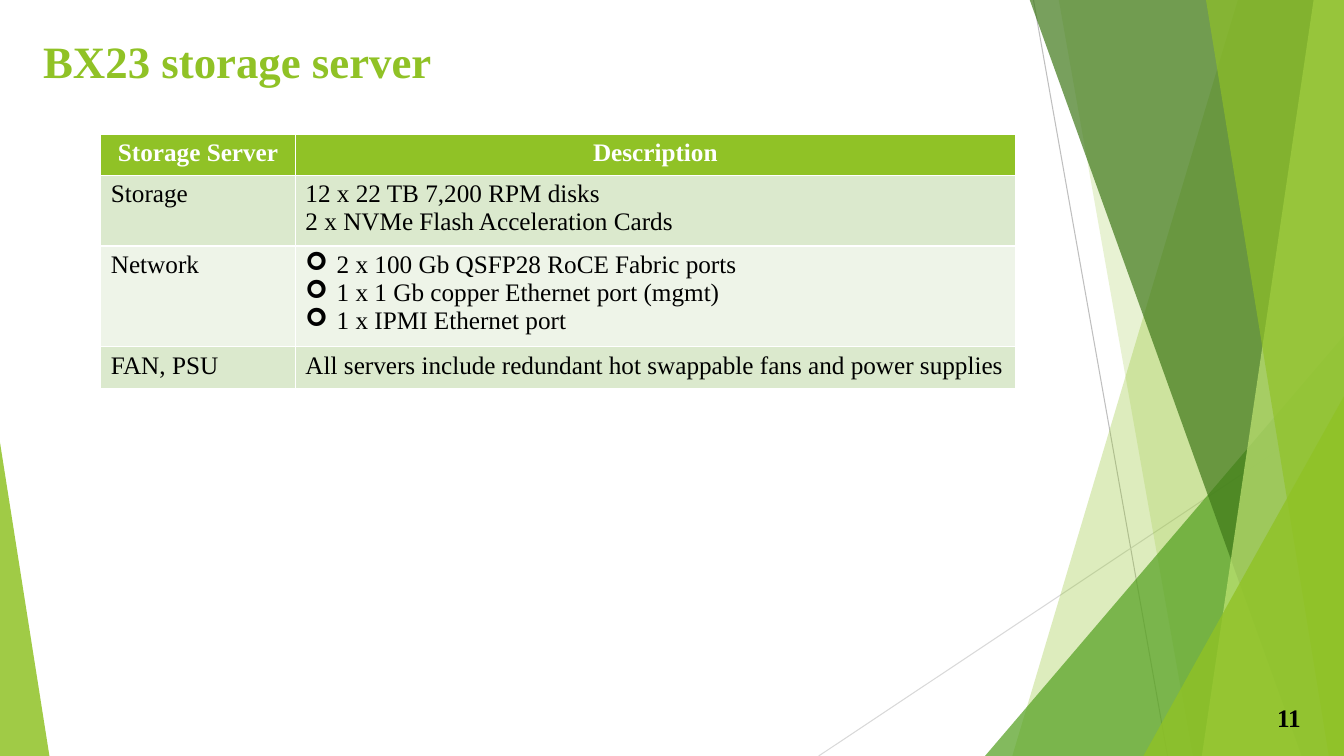
"""Build the storage server slide: a title, a table and angled green panels."""
from lxml.etree import SubElement as Sub
from pptx import Presentation
from pptx.dml.color import RGBColor
from pptx.enum.shapes import MSO_CONNECTOR as Link, MSO_SHAPE as Kind
from pptx.enum.text import MSO_ANCHOR as Anchor, PP_ALIGN as Align
from pptx.oxml.ns import qn
from pptx.util import Inches, Pt

GREEN = "90C226"
TOP, BOTTOM, RIGHT = -0.01, 7.5, 13.33


def paint(fill, color, alpha=100):
    fill.solid()
    fill.fore_color.rgb = RGBColor.from_string(color)
    if alpha < 100:
        tint = fill._xPr.find(qn("a:solidFill"))[0]
        Sub(tint, qn("a:alpha")).set("val", str(alpha * 1000))


def write(frame, text, size=18, color="000000", bold=False, align=Align.LEFT,
          anchor=Anchor.TOP, bullet=None):
    frame.word_wrap = True
    frame.vertical_anchor = anchor
    frame.text = text
    for para in frame.paragraphs:
        para.alignment = align
        if bullet:
            props = para._p.get_or_add_pPr()
            props.set("marL", str(Inches(0.31)))
            props.set("indent", str(Inches(-0.31)))
            Sub(props, qn("a:buFont")).set("typeface", "Wingdings")
            Sub(props, qn("a:buChar")).set("char", bullet)
        for run in para.runs:
            run.font.name = "Times New Roman"
            run.font.size = Pt(size)
            run.font.bold = bold
            run.font.color.rgb = RGBColor.from_string(color)


deck = Presentation()
deck.slide_width, deck.slide_height = Inches(RIGHT), Inches(BOTTOM)
slide = deck.slides.add_slide(deck.slide_layouts[6])
shapes = slide.shapes

for x1, y1, x2, y2, color in [(10.25, 0, 11.58, 7.5, "BFBFBF"),
                              (13.33, 4.03, 8.12, 7.5, "D9D9D9")]:
    line = shapes.add_connector(Link.STRAIGHT, Inches(x1), Inches(y1),
                                Inches(x2), Inches(y2))
    line.line.width = Pt(0.75)
    line.line.color.rgb = RGBColor.from_string(color)
    Sub(line._element.spPr, qn("a:effectLst"))

panels = [
    ("band", (12.28, 13.33, 10.04), GREEN, 30),
    ("band", (10.5, 13.33, 11.83), GREEN, 20),
    ("wedge", (9.77, 3.33, 3.56, 1), "54A021", 72),
    ("band", (10.21, 13.33, 12.91), "3F7819", 70),
    ("band", (13.03, 13.33, 11.92), "C0E474", 70),
    ("band", (11.96, 13.33, 13.18), GREEN, 65),
    ("wedge", (11.34, 3.93, 1.99, 1), GREEN, 80),
    ("wedge", (0, 4.39, 0.49, 0), GREEN, 85),
]
for kind, place, color, alpha in panels:
    if kind == "band":
        upper, right, lower = place
        path = shapes.build_freeform(Inches(upper), Inches(TOP))
        path.add_line_segments([(Inches(x), Inches(y)) for x, y in [
            (right, TOP), (right, BOTTOM), (lower, BOTTOM)]])
        panel = path.convert_to_shape()
    else:
        left, top, width, apex = place
        panel = shapes.add_shape(Kind.ISOSCELES_TRIANGLE, Inches(left), Inches(top),
                                 Inches(width), Inches(BOTTOM - top))
        panel.adjustments[0] = apex
    panel.shadow.inherit = False
    panel.line.fill.background()
    paint(panel.fill, color, alpha)

title = shapes.add_textbox(Inches(0.33), Inches(0.23), Inches(9.4), Inches(0.75))
write(title.text_frame, "BX23 storage server", size=32, color=GREEN, bold=True,
      anchor=Anchor.MIDDLE)
number = shapes.add_textbox(Inches(12.25), Inches(6.92), Inches(0.75), Inches(0.4))
write(number.text_frame, "11", bold=True, align=Align.RIGHT, anchor=Anchor.MIDDLE)

rows = [
    (0.41, GREEN, "Storage Server", "Description"),
    (0.65, "DBE9CD", "Storage",
     "12 x 22 TB 7,200 RPM disks\n2 x NVMe Flash Acceleration Cards"),
    (0.93, "EEF4E8", "Network",
     "2 x 100 Gb QSFP28 RoCE Fabric ports\n1 x 1 Gb copper Ethernet port (mgmt)\n"
     "1 x IPMI Ethernet port"),
    (0.41, "DBE9CD", "FAN, PSU",
     "All servers include redundant hot swappable fans and power supplies"),
]
table = shapes.add_table(len(rows), 2, Inches(1), Inches(1.33), Inches(9.07),
                         Inches(sum(row[0] for row in rows))).table
for column, width in zip(table.columns, (1.93, 7.14)):
    column.width = Inches(width)
for r, (height, color, *texts) in enumerate(rows):
    table.rows[r].height = Inches(height)
    for c, text in enumerate(texts):
        cell = table.cell(r, c)
        paint(cell.fill, color)
        if r == 0:
            write(cell.text_frame, text, color="FFFFFF", bold=True, align=Align.CENTER)
        else:
            listed = texts[0] == "Network" and c == 1
            write(cell.text_frame, text, bullet="➢" if listed else None)

deck.save("out.pptx")
